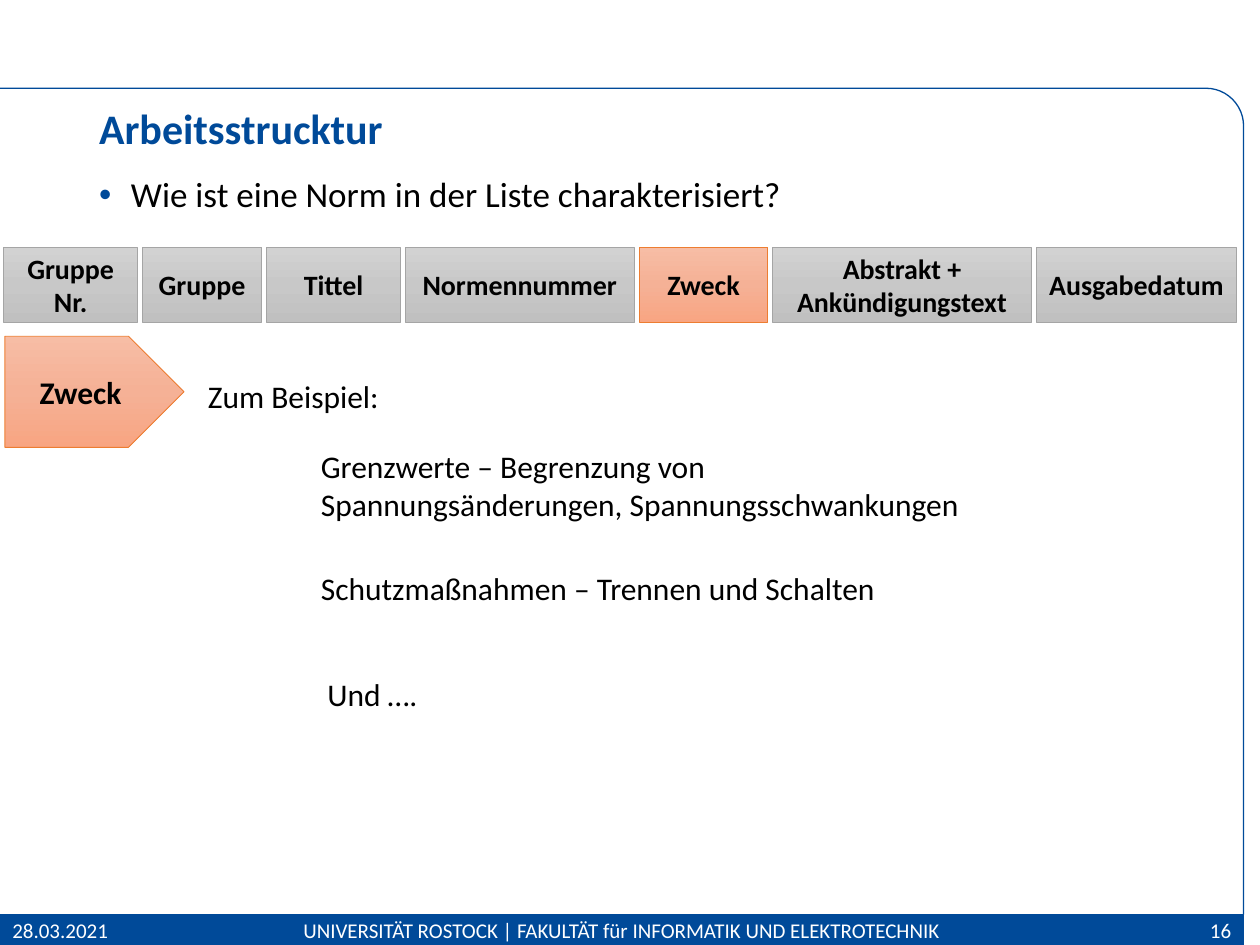
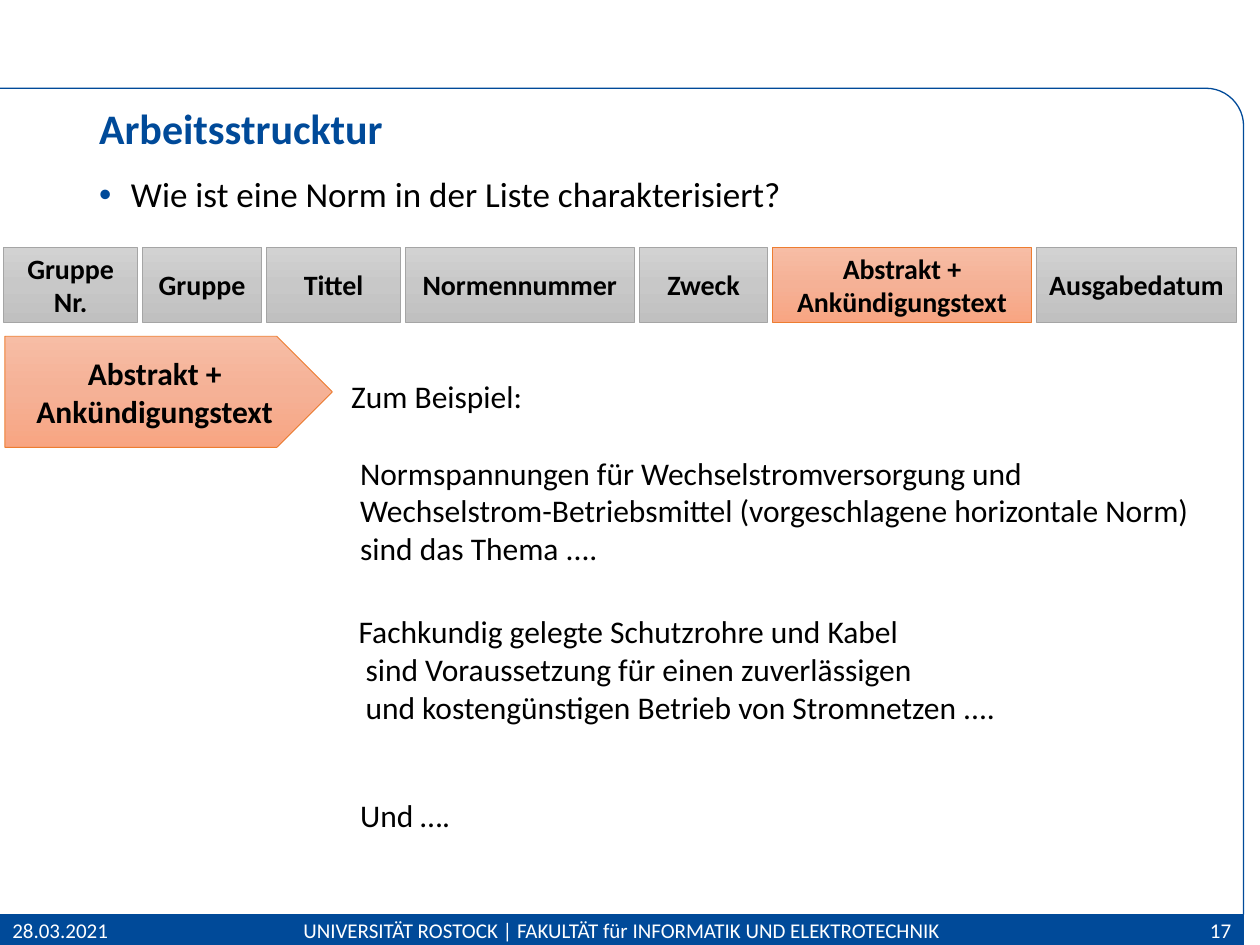
from copy import deepcopy
from dataclasses import dataclass
from math import cos, pi, sin

from lxml.etree import SubElement
from pptx import Presentation
from pptx.dml.color import RGBColor as Rgb
from pptx.enum.shapes import MSO_SHAPE as Kind
from pptx.enum.text import MSO_ANCHOR as Anchor, PP_ALIGN as Align
from pptx.oxml.ns import qn
from pptx.shapes.autoshape import Shape
from pptx.slide import Slide
from pptx.text.text import TextFrame
from pptx.util import Cm, Pt


@dataclass(frozen=True)
class Paint:
    stops: tuple[str, str, str]
    line: str


@dataclass(frozen=True)
class Theme:
    font: str = "Calibri"
    blue: str = "004A99"
    black: str = "000000"
    white: str = "FFFFFF"
    grey: Paint = Paint(("D2D2D2", "C8C8C8", "C0C0C0"), "A5A5A5")
    orange: Paint = Paint(("F7BDA5", "F5B196", "F8A582"), "ED7D31")
    title: int = 24
    lead: int = 20
    body: int = 18
    label: int = 16
    foot: int = 12


@dataclass(frozen=True)
class Box:
    """Left, top, width and height in centimetres."""
    left: float
    top: float
    width: float
    height: float

    def cm(self) -> tuple[Cm, Cm, Cm, Cm]:
        return Cm(self.left), Cm(self.top), Cm(self.width), Cm(self.height)


THEME = Theme()


@dataclass(frozen=True)
class Style:
    size: int
    color: str = THEME.black
    bold: bool = False
    align: Align = Align.LEFT
    anchor: Anchor = Anchor.TOP
    space: float = 1.0


@dataclass(frozen=True)
class Note:
    box: Box
    lines: tuple[str, ...]
    shift: float = 0  # left margin of the lines after the first


@dataclass(frozen=True)
class Page:
    number: int
    topic: str
    arrow: float  # width of the arrow
    notes: tuple[Note, ...]


WIDTH, HEIGHT = 25.4, 19.05
BAND = Box(0, 18.44, 25.07, 0.61)
ROW = Box(0.08, 4.98, 24.85, 1.52)
GAP = 0.1
FIELDS = {
    "Gruppe Nr.": 2.69,
    "Gruppe": 2.41,
    "Tittel": 2.69,
    "Normennummer": 4.62,
    "Zweck": 2.59,
    "Abstrakt + Ankündigungstext": 5.21,
    "Ausgabedatum": 4.04,
}

PAGES = (
    Page(16, "Zweck", 3.61, (
        Note(Box(6.22, 8.89, 13.8, 1.8),
             ("Grenzwerte – Begrenzung von",
              "Spannungsänderungen, Spannungsschwankungen")),
        Note(Box(6.22, 11.35, 12, 1.02),
             ("Schutzmaßnahmen – Trennen und Schalten",)),
        Note(Box(3.94, 7.47, 4.1, 1.02), ("Zum Beispiel:",)),
        Note(Box(6.35, 13.49, 2.5, 1.02), ("Und ….",)),
    )),
    Page(17, "Abstrakt + Ankündigungstext", 6.6, (
        Note(Box(7.01, 9.02, 17.8, 2.57),
             ("Normspannungen für Wechselstromversorgung und",
              "Wechselstrom-Betriebsmittel (vorgeschlagene horizontale Norm)",
              "sind das Thema ....")),
        Note(Box(6.98, 12.22, 17.07, 2.57),
             ("Fachkundig gelegte Schutzrohre und Kabel",
              "sind Voraussetzung für einen zuverlässigen",
              "und kostengünstigen Betrieb von Stromnetzen ...."), 0.14),
        Note(Box(6.83, 7.47, 4.1, 1.02), ("Zum Beispiel:",)),
        Note(Box(7.01, 15.93, 2.5, 1.02), ("Und ….",)),
    )),
)


# Text
def write(frame: TextFrame, lines: tuple[str, ...], style: Style,
          shift: float = 0) -> None:
    frame.word_wrap = True
    frame.vertical_anchor = style.anchor
    for pos, line in enumerate(lines):
        para = frame.add_paragraph() if pos else frame.paragraphs[0]
        para.text = line
        para.alignment = style.align
        para.line_spacing = style.space
        if pos and shift:
            para._p.get_or_add_pPr().set("marL", str(Cm(shift)))
        font = para.font
        font.name, font.size, font.bold = THEME.font, Pt(style.size), style.bold
        font.color.rgb = Rgb.from_string(style.color)


def add_text(slide: Slide, box: Box, lines: tuple[str, ...], style: Style,
             shift: float = 0) -> None:
    shape = slide.shapes.add_textbox(*box.cm())
    write(shape.text_frame, lines, style, shift)


def add_bullet(slide: Slide, box: Box, line: str) -> None:
    shape = slide.shapes.add_textbox(*box.cm())
    props = shape.text_frame.paragraphs[0]._p.get_or_add_pPr()
    props.set("marL", str(Cm(0.64)))
    props.set("indent", str(-Cm(0.64)))
    tint = SubElement(props, qn("a:buClr"))
    SubElement(tint, qn("a:srgbClr"), val=THEME.blue)
    SubElement(props, qn("a:buFont"), typeface="Arial")
    SubElement(props, qn("a:buChar"), char="•")
    write(shape.text_frame, (line,), Style(THEME.lead, space=0.9))


# Shapes
def set_line(shape: Shape, color: str, weight: float) -> None:
    shape.shadow.inherit = False
    shape.line.color.rgb = Rgb.from_string(color)
    shape.line.width = Pt(weight)


def add_label(slide: Slide, kind: Kind, box: Box, text: str, paint: Paint,
              size: int) -> None:
    shape = slide.shapes.add_shape(kind, *box.cm())
    set_line(shape, paint.line, 0.5)
    shape.fill.gradient()
    shape.fill.gradient_angle = 270
    first = shape._element.xpath(".//a:gs")[0]
    first.addnext(deepcopy(first))
    for pos, (stop, color) in enumerate(zip(shape.fill.gradient_stops, paint.stops)):
        stop.position = pos / 2
        stop.color.rgb = Rgb.from_string(color)
    write(shape.text_frame, (text,), Style(
        size, bold=True, align=Align.CENTER, anchor=Anchor.MIDDLE))


def add_edge(slide: Slide, top: float, curve: float) -> None:
    """Rule along the top and right side with a round corner."""
    right, steps = BAND.width, 12
    turns = [pi / 2 * step / steps for step in range(steps + 1)]
    arc = [(Cm(right - curve + curve * sin(turn)),
            Cm(top + curve - curve * cos(turn))) for turn in turns]
    pen = slide.shapes.build_freeform(0, Cm(top))
    pen.add_line_segments([*arc, (Cm(right), Cm(BAND.top))], close=False)
    edge = pen.convert_to_shape()
    edge.fill.background()
    set_line(edge, THEME.blue, 0.75)


# Shared parts of every slide
def add_base(slide: Slide, number: int) -> None:
    band = slide.shapes.add_shape(Kind.RECTANGLE, *BAND.cm())
    set_line(band, THEME.blue, 0.75)
    band.fill.solid()
    band.fill.fore_color.rgb = Rgb.from_string(THEME.blue)
    add_edge(slide, 1.78, 0.76)

    add_text(slide, Box(1.75, 1.83, 21.89, 1.63), ("Arbeitsstrucktur",),
             Style(THEME.title, THEME.blue, True, anchor=Anchor.MIDDLE, space=0.9))
    add_bullet(slide, Box(1.75, 3.45, 21.89, 3.58),
               "Wie ist eine Norm in der Liste charakterisiert?")

    side, mid = 2.57, 16.05
    for left, width, text, align in (
        (0, side, "28.03.2021", Align.LEFT),
        ((BAND.width - mid) / 2, mid,
         "UNIVERSITÄT ROSTOCK | FAKULTÄT für INFORMATIK UND ELEKTROTECHNIK",
         Align.CENTER),
        (BAND.width - side, side, str(number), Align.RIGHT),
    ):
        add_text(slide, Box(left, BAND.top, width, BAND.height), (text,),
                 Style(THEME.foot, THEME.white, align=align, anchor=Anchor.MIDDLE))


# Row of list fields with the topic marked
def add_row(slide: Slide, topic: str) -> None:
    left = ROW.left
    for name, width in FIELDS.items():
        add_label(slide, Kind.RECTANGLE, Box(left, ROW.top, width, ROW.height), name,
                  THEME.orange if name == topic else THEME.grey, THEME.label)
        left += width + GAP


def add_page(slide: Slide, page: Page) -> None:
    add_base(slide, page.number)
    add_row(slide, page.topic)
    add_label(slide, Kind.PENTAGON, Box(0.1, 6.78, page.arrow, 2.24),
              page.topic, THEME.orange, THEME.body)
    for note in page.notes:
        add_text(slide, note.box, note.lines, Style(THEME.body), note.shift)


def main() -> None:
    deck = Presentation()
    deck.slide_width, deck.slide_height = Cm(WIDTH), Cm(HEIGHT)
    for page in PAGES:
        add_page(deck.slides.add_slide(deck.slide_layouts[6]), page)
    deck.save("out.pptx")


if __name__ == "__main__":
    main()
